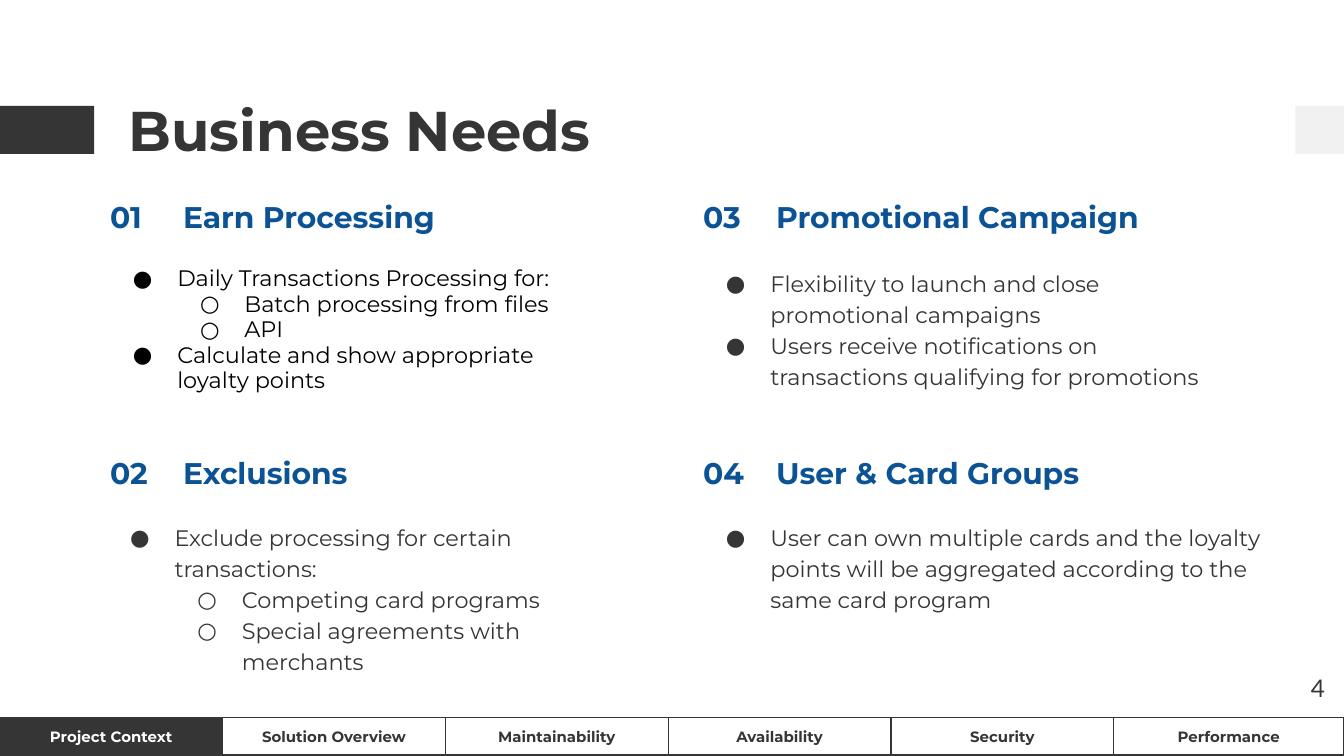
"""Build the Business Needs slide with its four needs and section tabs."""
from lxml.etree import SubElement
from pptx import Presentation
from pptx.dml.color import RGBColor
from pptx.enum.shapes import MSO_SHAPE as Preset
from pptx.enum.text import MSO_ANCHOR as Anchor, MSO_AUTO_SIZE as AutoSize, PP_ALIGN as Align
from pptx.oxml.ns import qn
from pptx.util import Cm, Pt

COLORS = {"dark": "353535", "light": "F1F1F1", "white": "FFFFFF",
          "blue": "0B5394", "black": "000000"}
BULLETS = "●○"
TABS = ["Project Context", "Solution Overview", "Maintainability",
        "Availability", "Security", "Performance"]
TAB_WIDTH = 4.21
SLIDE_WIDTH = 25.4
COLUMNS = [1.83, 13.04]
HEADING_TOPS = [3.66, 8.51]
LIST_TOPS = [4.78, 9.58]
HEADING_WIDTHS = [6.63, 8.99]
NUMBER_WIDTH = 1.38
NEEDS = [
    {"heading": "Earn Processing", "left": 1.83, "width": 8.92, "color": "black", "spacing": 0.95,
     "items": [(0, "Daily Transactions Processing for:"),
               (1, "Batch processing from files"),
               (1, "API"),
               (0, "Calculate and show appropriate loyalty points")]},
    {"heading": "Exclusions", "left": 1.78, "width": 8.92, "color": "dark", "spacing": 1.15,
     "items": [(0, "Exclude processing for certain transactions:"),
               (1, "Competing card programs"),
               (1, "Special agreements with merchants")]},
    {"heading": "Promotional Campaign", "left": 13.04, "width": 10.36, "color": "dark", "spacing": 1.15,
     "items": [(0, "Flexibility to launch and close promotional campaigns"),
               (0, "Users receive notifications on transactions qualifying for promotions")]},
    {"heading": "User & Card Groups", "left": 13.04, "width": 11.15, "color": "dark", "spacing": 1.15,
     "items": [(0, "User can own multiple cards and the loyalty points will be "
                   "aggregated according to the same card program")]},
]


def color(name):
    return RGBColor.from_string(COLORS[name])


def place(shape, left, top, width, height):
    shape.left, shape.top = Cm(left), Cm(top)
    shape.width, shape.height = Cm(width), Cm(height)


def set_frame(text_frame, anchor):
    text_frame.word_wrap = True
    text_frame.auto_size = AutoSize.NONE
    text_frame.vertical_anchor = anchor
    text_frame.margin_left = text_frame.margin_right = Cm(0.25)
    text_frame.margin_top = text_frame.margin_bottom = Cm(0.25)


def format_runs(paragraph, size, color_name, bold=False, font="Montserrat"):
    for run in paragraph.runs:
        run.font.name = font
        run.font.size = Pt(size)
        run.font.bold = bold
        run.font.color.rgb = color(color_name)


def set_text(shape, text, size, color_name, align=Align.LEFT, anchor=Anchor.MIDDLE,
             bold=True, font="Montserrat"):
    set_frame(shape.text_frame, anchor)
    shape.text_frame.text = text
    paragraph = shape.text_frame.paragraphs[0]
    paragraph.alignment = align
    format_runs(paragraph, size, color_name, bold, font)


def add_text(slide, box, text, size, color_name, **options):
    shape = slide.shapes.add_textbox(*map(Cm, box))
    set_text(shape, text, size, color_name, **options)


def add_rectangle(slide, box, fill, line=None):
    shape = slide.shapes.add_shape(Preset.RECTANGLE, *map(Cm, box))
    shape.shadow.inherit = False
    shape.fill.solid()
    shape.fill.fore_color.rgb = color(fill)
    if line:
        shape.line.color.rgb = color(line)
        shape.line.width = Pt(0.75)
    else:
        shape.line.fill.background()
    return shape


def add_tabs(slide, active):
    for index, label in enumerate(TABS):
        left = index * TAB_WIDTH
        width = SLIDE_WIDTH - left if label == TABS[-1] else TAB_WIDTH
        fill, ink = ("dark", "white") if label == active else ("white", "dark")
        tab = add_rectangle(slide, (left, 13.56, width, 0.71), fill, "dark")
        set_text(tab, label, 8, ink, align=Align.CENTER)


def set_bullet(paragraph, level, color_name):
    paragraph.level = level
    properties = paragraph._p.get_or_add_pPr()
    properties.set("marL", str(Cm(1.27 * (level + 1))))
    properties.set("indent", str(Cm(-0.84)))
    bullet_color = SubElement(properties, qn("a:buClr"))
    SubElement(bullet_color, qn("a:srgbClr"), val=COLORS[color_name])
    SubElement(properties, qn("a:buFont"), typeface="Montserrat")
    SubElement(properties, qn("a:buChar"), char=BULLETS[level])


def fill_list(placeholder, need, top):
    place(placeholder, need["left"], top, need["width"], 3.02)
    text_frame = placeholder.text_frame
    set_frame(text_frame, Anchor.TOP)
    text_frame.text = "\n".join(text for _, text in need["items"])
    for paragraph, (level, _) in zip(text_frame.paragraphs, need["items"]):
        set_bullet(paragraph, level, need["color"])
        paragraph.line_spacing = need["spacing"]
        paragraph.space_before = paragraph.space_after = Pt(0)
        paragraph.alignment = Align.LEFT
        format_runs(paragraph, 12, need["color"])


def add_need(slide, index, need):
    column, row = divmod(index, 2)
    left, top = COLUMNS[column], HEADING_TOPS[row]
    add_text(slide, (left, top, NUMBER_WIDTH, 0.86), f"{index + 1:02}", 16, "blue")
    add_text(slide, (left + NUMBER_WIDTH, top, HEADING_WIDTHS[column], 0.86),
             need["heading"], 16, "blue")
    fill_list(slide.placeholders[index + 1], need, LIST_TOPS[row])


def main():
    presentation = Presentation()
    presentation.slide_width, presentation.slide_height = Cm(SLIDE_WIDTH), Cm(14.29)
    comparison_layout = presentation.slide_layouts[4]
    slide = presentation.slides.add_slide(comparison_layout)
    place(slide.shapes.title, 2.18, 1.65, 20.42, 1.6)
    set_text(slide.shapes.title, "Business Needs", 30, "dark")
    add_rectangle(slide, (0, 2, 1.78, 0.91), "dark")
    add_rectangle(slide, (24.48, 2, 0.92, 0.91), "light")
    add_tabs(slide, "Project Context")
    for index, need in enumerate(NEEDS):
        add_need(slide, index, need)
    add_text(slide, (23.77, 12.47, 1.52, 1.09), "4", 13, "dark",
             align=Align.RIGHT, anchor=Anchor.TOP, bold=False, font="Lato")
    presentation.save("out.pptx")


if __name__ == "__main__":
    main()
